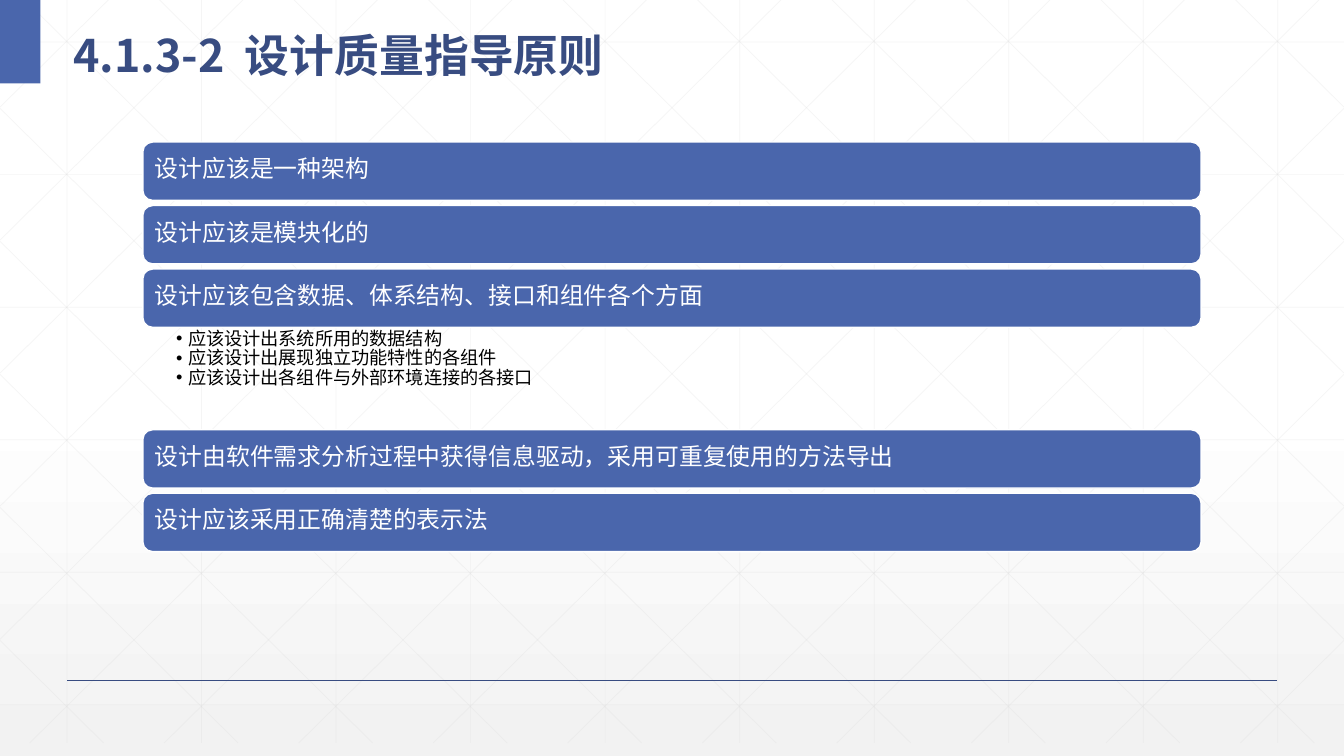
import pptx
import pptx.util
import pptx.dml.color
import pptx.enum.dml
import pptx.enum.shapes
import pptx.enum.text
import pptx.oxml.ns
import lxml.etree

Cm = pptx.util.Cm
Pt = pptx.util.Pt

COLOURS = {
    "blue": "4A66AC",
    "navy": "384C81",
    "white": "FFFFFF",
    "black": "000000",
    "mist": "F2F2F2",
    "grid": "D9D9D9",
}
SLIDE_WIDTH, SLIDE_HEIGHT = 33.87, 19.05
EAST_ASIAN_FONT = "Noto Sans CJK SC"
TITLE = ["4.1.3-2", " ", "设计质量指导原则"]
PRINCIPLES = [
    ("设计应该是一种架构", []),
    ("设计应该是模块化的", []),
    ("设计应该包含数据、体系结构、接口和组件各个方面", [
        "应该设计出系统所用的数据结构",
        "应该设计出展现独立功能特性的各组件",
        "应该设计出各组件与外部环境连接的各接口",
    ]),
    ("设计由软件需求分析过程中获得信息驱动，采用可重复使用的方法导出", []),
    ("设计应该采用正确清楚的表示法", []),
]


def colour(name):
    return pptx.dml.color.RGBColor.from_string(COLOURS[name])


def add_element(parent, tag, **attributes):
    return lxml.etree.SubElement(parent, pptx.oxml.ns.qn(tag), attributes)


def apply_format(target, values):
    for name, value in values.items():
        setattr(target, name, value)


def place(shape, left, top, width, height):
    apply_format(shape, {"left": Cm(left), "top": Cm(top),
                         "width": Cm(width), "height": Cm(height)})


def format_run(run, size, font_name, colour_name, bold=False):
    apply_format(run.font, {"size": Pt(size), "name": font_name, "bold": bold})
    run.font.color.rgb = colour(colour_name)
    add_element(run.font._element, "a:ea", typeface=EAST_ASIAN_FONT)


def format_frame(frame, anchor, left, top, right, bottom):
    apply_format(frame, {
        "word_wrap": True,
        "auto_size": pptx.enum.text.MSO_AUTO_SIZE.NONE,
        "vertical_anchor": anchor,
        "margin_left": Cm(left), "margin_top": Cm(top),
        "margin_right": Cm(right), "margin_bottom": Cm(bottom),
    })


def format_paragraph(paragraph, line_spacing):
    apply_format(paragraph, {
        "alignment": pptx.enum.text.PP_ALIGN.LEFT,
        "line_spacing": line_spacing,
        "space_before": Pt(0),
        "space_after": Pt(0),
    })


def add_line(slide, start, end, colour_name, width, opacity=100):
    connector = slide.shapes.add_connector(
        pptx.enum.shapes.MSO_CONNECTOR.STRAIGHT, *map(Cm, start + end))
    connector.line.width = Pt(width)
    connector.line.color.rgb = colour(colour_name)
    for rgb in connector.element.spPr.iter(pptx.oxml.ns.qn("a:srgbClr")):
        add_element(rgb, "a:alpha", val=str(opacity * 1000))
    add_element(connector.element.spPr, "a:effectLst")


def add_background(slide):
    fill = slide.background.fill
    fill.gradient()
    fill.gradient_angle = 270
    for stop, position, name in zip(fill.gradient_stops, (0.53, 1), ("white", "mist")):
        stop.position = position
        stop.color.rgb = colour(name)


def add_grid(slide, width, height):
    column_step, row_step = 3.39, 3.34
    run_length = 18.93
    slope = height / run_length
    segments = []
    for column in range(10):
        x = 1.69 + column * column_step
        segments.append(((x, 0), (x, height)))
    for row in range(6):
        y = 1.06 + row * row_step
        segments.append(((0, y), (width, y)))
    for index in range(-5, 10):
        origin = 0.63 + index * column_step
        first_x, last_x = max(origin, 0), min(origin + run_length, width)
        first_y, last_y = ((x - origin) * slope for x in (first_x, last_x))
        segments.append(((first_x, first_y), (last_x, last_y)))
        segments.append(((width - first_x, first_y), (width - last_x, last_y)))
    for start, end in segments:
        add_line(slide, start, end, "grid", 0.5, 25)


def add_block(slide, kind, colour_name, left, top, width, height):
    shape = slide.shapes.add_shape(kind, *map(Cm, (left, top, width, height)))
    shape.shadow.inherit = False
    shape.fill.solid()
    shape.fill.fore_color.rgb = colour(colour_name)
    return shape


def add_title(slide, left, top, width, height):
    tab = add_block(slide, pptx.enum.shapes.MSO_SHAPE.RECTANGLE, "blue", 0, 0, 1.02, 2.1)
    tab.line.fill.background()
    title = slide.shapes.title
    title.element.getparent().append(title.element)
    place(title, left, top, width, height)
    format_frame(title.text_frame, pptx.enum.text.MSO_ANCHOR.MIDDLE, 0.25, 0.13, 0.25, 0.13)
    paragraph = title.text_frame.paragraphs[0]
    format_paragraph(paragraph, 1.3)
    for text in TITLE:
        run = paragraph.add_run()
        run.text = text
        format_run(run, 32, EAST_ASIAN_FONT, "navy", True)
        if text == " ":
            run.font._element.set("spc", "700")


def add_bar(slide, text, left, top, width, height):
    bar = add_block(slide, pptx.enum.shapes.MSO_SHAPE.ROUNDED_RECTANGLE, "blue",
                    left, top, width, height)
    bar.line.color.rgb = colour("white")
    bar.line.width = Pt(1)
    format_frame(bar.text_frame, pptx.enum.text.MSO_ANCHOR.MIDDLE, 0.23, 0.18, 0.23, 0.25)
    paragraph = bar.text_frame.paragraphs[0]
    format_paragraph(paragraph, 0.9)
    run = paragraph.add_run()
    run.text = text
    format_run(run, 17, "Arial", "white")


def add_details(slide, details, left, top, width, height):
    body = slide.placeholders[1]
    body.element.getparent().append(body.element)
    place(body, left, top, width, height)
    frame = body.text_frame
    format_frame(frame, pptx.enum.text.MSO_ANCHOR.TOP, 0.84, 0.05, 0.33, 0.05)
    for index, text in enumerate(details):
        paragraph = frame.add_paragraph() if index else frame.paragraphs[0]
        paragraph.level = 1
        format_paragraph(paragraph, 0.9)
        properties = paragraph._p.get_or_add_pPr()
        properties.set("marL", str(Cm(0.3)))
        properties.set("indent", str(Cm(-0.3)))
        add_element(properties, "a:buFont", typeface="Arial")
        add_element(properties, "a:buChar", char="•")
        run = paragraph.add_run()
        run.text = text
        format_run(run, 13, "Arial", "black")


def add_principles(slide, left, top, width):
    bar_height, gap, details_height = 1.47, 0.13, 2.58
    for text, details in PRINCIPLES:
        add_bar(slide, text, left, top, width, bar_height)
        top += bar_height
        if details:
            add_details(slide, details, left, top, width, details_height)
            top += details_height
        else:
            top += gap


def main():
    presentation = pptx.Presentation()
    presentation.slide_width = Cm(SLIDE_WIDTH)
    presentation.slide_height = Cm(SLIDE_HEIGHT)
    slide = presentation.slides.add_slide(presentation.slide_layouts[1])
    add_background(slide)
    add_grid(slide, SLIDE_WIDTH, 18.72)
    add_line(slide, (1.69, 17.15), (32.18, 17.15), "navy", 1)
    add_title(slide, 1.6, 0.25, 31.55, 1.85)
    add_principles(slide, 3.6, 3.58, 26.67)
    presentation.save("out.pptx")


if __name__ == "__main__":
    main()
